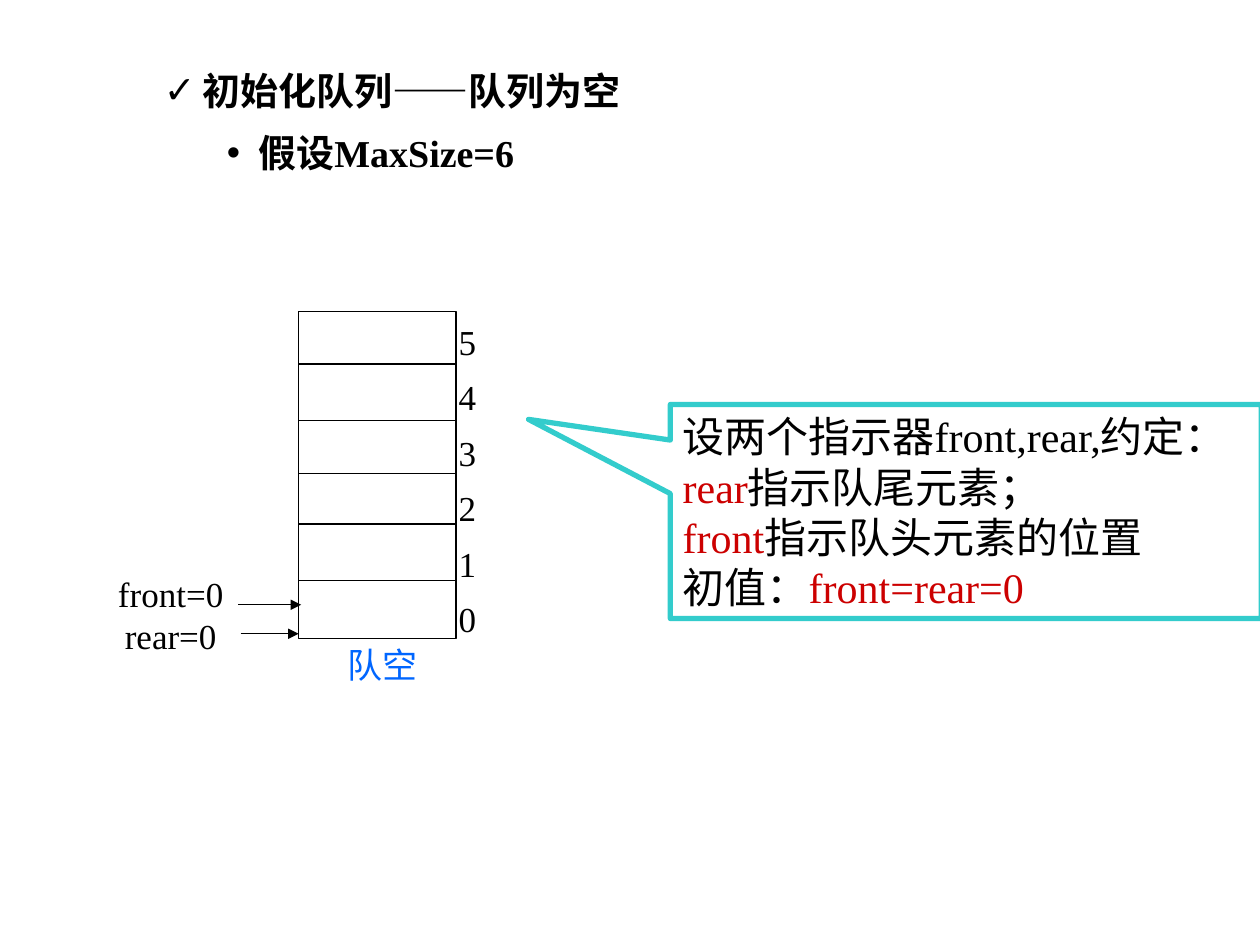
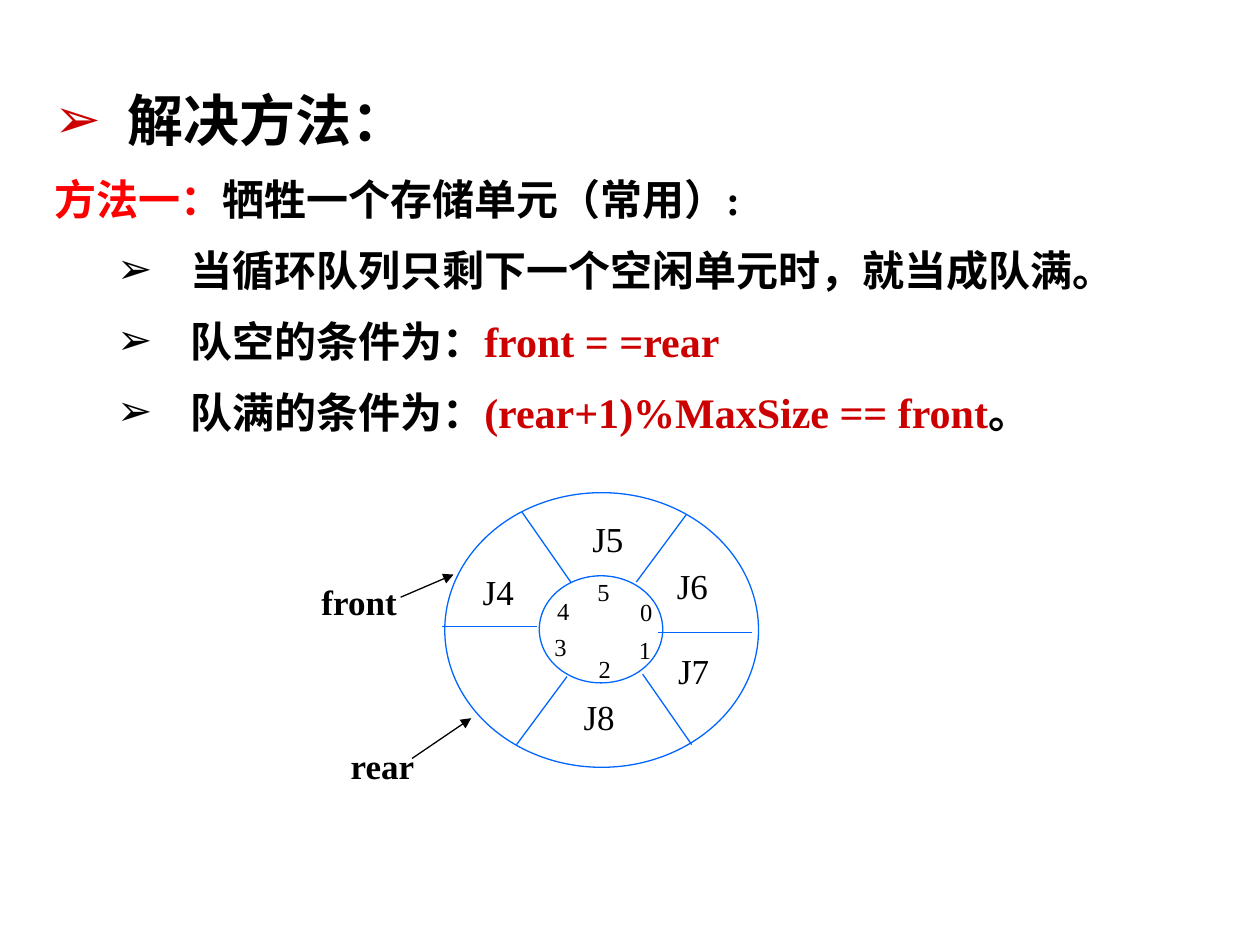
import dataclasses

import lxml.etree
import pptx
import pptx.dml.color
import pptx.enum.shapes
import pptx.enum.text
import pptx.oxml
import pptx.oxml.ns
import pptx.util

Inches = pptx.util.Inches
Shape = pptx.enum.shapes.MSO_SHAPE
Align = pptx.enum.text.PP_ALIGN
TITLE_AND_CONTENT = 1


@dataclasses.dataclass(frozen=True)
class Theme:
    font: str = "Times New Roman"
    dash_font: str = "Arial"
    black: str = "000000"
    blue: str = "0066FF"
    teal: str = "33CCCC"
    dark_red: str = "CC0000"
    red: str = "FF0000"
    heading: float = 32
    body: float = 24
    outline: float = 21.7
    label: float = 20
    index: float = 14
    thin: float = 0.75
    thick: float = 3


THEME = Theme()


@dataclasses.dataclass(frozen=True)
class Run:
    """Text that departs from its paragraph's colour or font."""
    text: str
    color: str = ""
    font: str = ""


@dataclasses.dataclass(frozen=True)
class Item:
    """One list paragraph; its runs are plain strings or Run objects."""
    runs: tuple
    margin: float
    hanging: float
    size: float
    level: int = 0
    bullet: str = ""
    bullet_color: str = THEME.black
    space_before: float = 0


def rgb(color):
    return pptx.dml.color.RGBColor.from_string(color)


def box_lengths(box):
    return [Inches(length) for length in box]


def set_font(font, size, color=THEME.black, bold=False):
    font.name = THEME.font
    font.size = pptx.util.Pt(size)
    font.bold = bold
    font.color.rgb = rgb(color)


def add_runs(paragraph, runs):
    for part in runs:
        if isinstance(part, str):
            part = Run(part)
        run = paragraph.add_run()
        run.text = part.text
        if part.color:
            run.font.color.rgb = rgb(part.color)
        if part.font:
            run.font.name = part.font


def add_element(parent, tag, **attributes):
    return lxml.etree.SubElement(parent, pptx.oxml.ns.qn(tag), attributes)


def set_bullet(paragraph, item):
    properties = paragraph._p.get_or_add_pPr()
    properties.set("marL", str(Inches(item.margin)))
    properties.set("indent", str(Inches(-item.hanging)))
    if item.bullet:
        bullet_color = add_element(properties, "a:buClr")
        add_element(bullet_color, "a:srgbClr", val=item.bullet_color)
        add_element(properties, "a:buFont", typeface="Arial")
        add_element(properties, "a:buChar", char=item.bullet)
    else:
        add_element(properties, "a:buNone")


def add_list_slide(deck, box, items, line_spacing):
    """Add a slide without a title whose body placeholder holds the items."""
    slide = deck.slides.add_slide(deck.slide_layouts[TITLE_AND_CONTENT])
    title = slide.shapes.title
    title.element.getparent().remove(title.element)
    body = slide.placeholders[1]
    body.left, body.top, body.width, body.height = box_lengths(box)
    frame = body.text_frame
    frame.auto_size = pptx.enum.text.MSO_AUTO_SIZE.NONE
    for position, item in enumerate(items):
        paragraph = frame.add_paragraph() if position else frame.paragraphs[0]
        paragraph.level = item.level
        set_bullet(paragraph, item)
        paragraph.line_spacing = line_spacing
        paragraph.space_before = pptx.util.Pt(item.space_before)
        set_font(paragraph.font, item.size, bold=True)
        add_runs(paragraph, item.runs)
    return slide


def fill_lines(frame, lines, size, color=THEME.black, bold=False, align=Align.CENTER):
    frame.word_wrap = False
    frame.vertical_anchor = pptx.enum.text.MSO_ANCHOR.MIDDLE
    for position, runs in enumerate(lines):
        paragraph = frame.add_paragraph() if position else frame.paragraphs[0]
        paragraph.alignment = align
        set_font(paragraph.font, size, color, bold)
        add_runs(paragraph, runs)


def add_label(slide, box, *lines, size=THEME.label, **style):
    """Add centred text; without side margins each line fits its box."""
    frame = slide.shapes.add_textbox(*box_lengths(box)).text_frame
    frame.margin_left = frame.margin_right = 0
    fill_lines(frame, [(line,) for line in lines], size, **style)


def add_outline(slide, kind, box, color=THEME.black, width=THEME.thin):
    shape = slide.shapes.add_shape(kind, *box_lengths(box))
    shape.shadow.inherit = False
    shape.fill.background()
    shape.line.color.rgb = rgb(color)
    shape.line.width = pptx.util.Pt(width)
    return shape


def add_line(slide, ends, color=THEME.black, arrow=False):
    line = slide.shapes.add_connector(
        pptx.enum.shapes.MSO_CONNECTOR.STRAIGHT, *box_lengths(ends))
    line.line.color.rgb = rgb(color)
    line.line.width = pptx.util.Pt(THEME.thin)
    if arrow:
        add_element(line.line._get_or_add_ln(), "a:tailEnd", type="triangle")
    add_element(line._element.spPr, "a:effectLst")


def add_queue_array(slide):
    left, right, top, bottom = 2.37, 3.62, 2.47, 5.07
    add_outline(slide, Shape.RECTANGLE, (left, top, right - left, bottom - top))
    for divider in (2.89, 3.34, 3.76, 4.16, 4.61):
        add_line(slide, (left, divider, right, divider))
    for index in range(6):
        add_label(slide, (3.54, 4.69 - 0.44 * index, 0.34, 0.44), str(index))
    add_label(slide, (2.66, 5.05, 0.75, 0.44), "队空", color=THEME.blue)
    add_label(slide, (0.84, 4.49, 1.03, 0.77), "front=0", "rear=0")
    add_line(slide, (1.89, 4.8, 2.39, 4.8), arrow=True)
    add_line(slide, (1.91, 5.03, left, 5.03), arrow=True)


def add_pointer_callout(slide):
    callout = add_outline(slide, Shape.RECTANGULAR_CALLOUT, (5.32, 3.21, 4.69, 1.7),
                          THEME.teal, THEME.thick)
    callout.adjustments[0] = -0.74
    callout.adjustments[1] = -0.43
    lines = [
        ("设两个指示器front,rear,约定：",),
        (Run("rear", THEME.dark_red), "指示队尾元素；"),
        (Run("front", THEME.dark_red), "指示队头元素的位置"),
        ("初值：", Run("front=rear=0", THEME.dark_red)),
    ]
    fill_lines(callout.text_frame, lines, THEME.body, align=Align.LEFT)


def add_circular_queue(slide):
    add_outline(slide, Shape.OVAL, (3.53, 3.91, 2.49, 2.18), THEME.blue)
    add_outline(slide, Shape.OVAL, (4.28, 4.57, 0.98, 0.85), THEME.blue)
    spokes = [
        (3.51, 4.97, 4.26, 4.97), (5.22, 5.02, 5.97, 5.02), (4.14, 4.06, 4.53, 4.62),
        (5.1, 5.35, 5.49, 5.91), (5.45, 4.08, 5.05, 4.62), (4.5, 5.37, 4.1, 5.91),
    ]
    for spoke in spokes:
        add_line(slide, spoke, THEME.blue)
    jobs = [("J4", 3.73, 4.48), ("J5", 4.6, 4.06), ("J6", 5.27, 4.43),
            ("J7", 5.28, 5.11), ("J8", 4.53, 5.47)]
    for job, left, top in jobs:
        add_label(slide, (left, top, 0.45, 0.43), job)
    index_corners = [(4.98, 4.69), (4.97, 4.99), (4.65, 5.14),
                     (4.3, 4.97), (4.32, 4.68), (4.64, 4.53)]
    for index, (left, top) in enumerate(index_corners):
        add_label(slide, (left, top, 0.3, 0.33), str(index), size=THEME.index)
    pointers = [("front", (2.48, 4.56, 0.74, 0.43), (3.18, 4.74, 3.6, 4.56)),
                ("rear", (2.72, 5.86, 0.63, 0.43), (3.27, 6.02, 3.74, 5.7))]
    for pointer, box, arrow_ends in pointers:
        add_label(slide, box, pointer, bold=True)
        add_line(slide, arrow_ends, arrow=True)


def add_empty_queue_slide(deck):
    items = [
        Item(("初始化队列", Run("——", font=THEME.dash_font), "队列为空"),
             0.81, 0.31, THEME.outline, level=1, bullet="✓"),
        Item(("假设MaxSize=6",), 1.25, 0.25, THEME.outline, level=2, bullet="•",
             space_before=7),
    ]
    slide = add_list_slide(deck, (0.7, 0.45, 9.3, 0.98), items, line_spacing=1.1)
    add_queue_array(slide)
    add_pointer_callout(slide)


def add_full_queue_slide(deck):
    conditions = [
        ("当循环队列只剩下一个空闲单元时，就当成队满。",),
        ("队空的条件为：", Run("front = =rear", THEME.dark_red)),
        ("队满的条件为：", Run("(rear+1)%MaxSize == front", THEME.dark_red), "。"),
    ]
    items = [
        Item(("解决方法：",), 0.58, 0.58, THEME.heading, bullet="➢",
             bullet_color=THEME.dark_red),
        Item((Run("方法一：", THEME.red), "牺牲一个存储单元（常用）:"), 0.58, 0.58,
             THEME.body, space_before=6),
    ]
    items += [Item(runs, 1.08, 0.58, THEME.body, level=1, bullet="➢", space_before=6)
              for runs in conditions]
    slide = add_list_slide(deck, (0.33, 0.52, 9.33, 5.99), items, line_spacing=1.2)
    add_circular_queue(slide)


def main():
    deck = pptx.Presentation()
    deck.slide_width, deck.slide_height = Inches(10), Inches(7.5)
    add_empty_queue_slide(deck)
    add_full_queue_slide(deck)
    deck.save("out.pptx")


if __name__ == "__main__":
    main()
